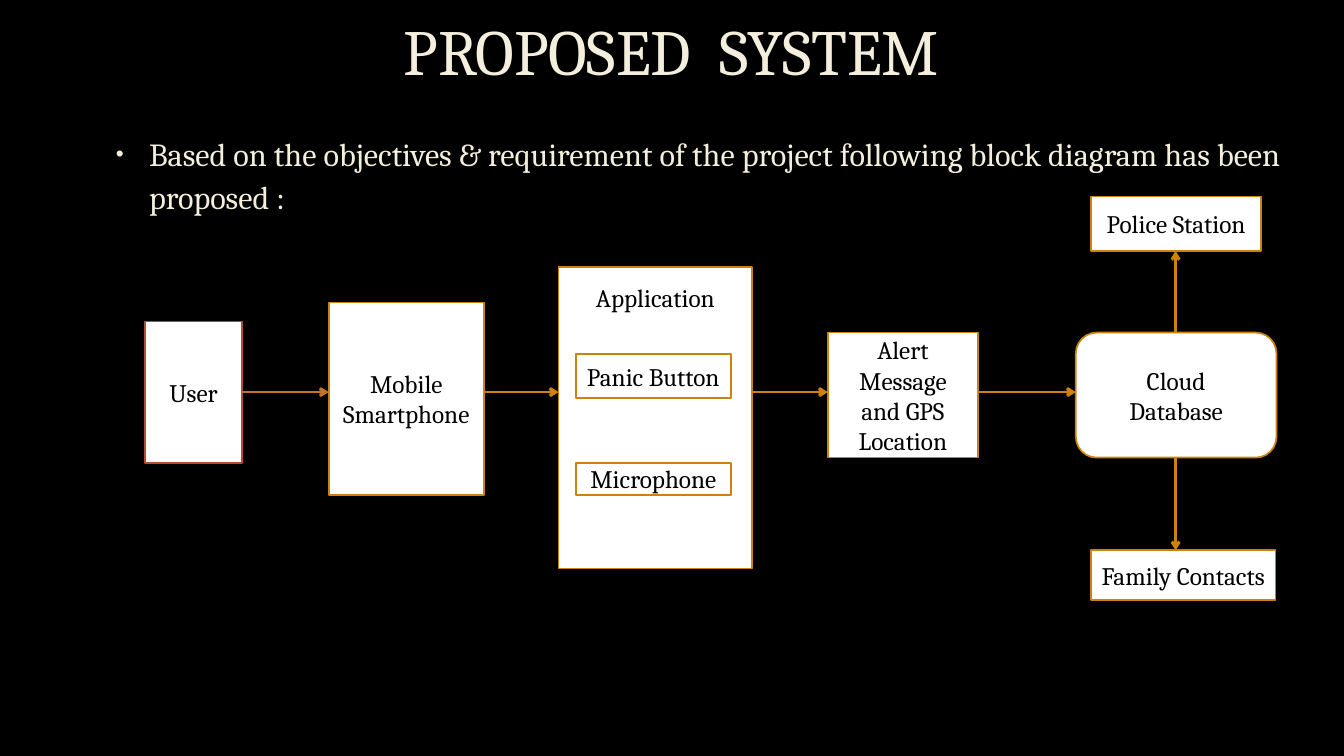
from typing import NamedTuple

from lxml.etree import SubElement
from pptx import Presentation
from pptx.dml.color import RGBColor
from pptx.enum.shapes import MSO_CONNECTOR, MSO_SHAPE
from pptx.enum.text import MSO_ANCHOR, PP_ALIGN
from pptx.oxml.ns import qn
from pptx.util import Inches, Pt

FONT = "Cambria"
BLACK, WHITE, CREAM = "000000", "FFFFFF", "F4EEDC"
AMBER, RUST, COPPER = "CC830E", "B54C2D", "C17529"
FLOW_Y = 3.89
CLOUD_X = 11.66


class Block(NamedTuple):
    text: str
    left: float
    top: float
    width: float
    height: float
    line: str = AMBER
    kind: MSO_SHAPE = MSO_SHAPE.FLOWCHART_PROCESS
    anchor: MSO_ANCHOR = MSO_ANCHOR.MIDDLE


class Arrow(NamedTuple):
    start: tuple[float, float]
    end: tuple[float, float]
    color: str = AMBER


BLOCKS = [
    Block("User", 1.44, 3.19, 0.96, 1.4, line=RUST),
    Block("Mobile\nSmartphone", 3.26, 3, 1.54, 1.91),
    Block("Application", 5.54, 2.65, 1.92, 2.99, anchor=MSO_ANCHOR.TOP),
    Block("Panic Button", 5.71, 3.51, 1.54, 0.44),
    Block("Microphone", 5.71, 4.59, 1.54, 0.32),
    Block("Alert Message and GPS Location", 8.21, 3.3, 1.49, 1.24),
    Block("Police Station", 10.82, 1.95, 1.69, 0.54),
    Block("Cloud\nDatabase", 10.67, 3.3, 1.99, 1.24,
          kind=MSO_SHAPE.FLOWCHART_ALTERNATE_PROCESS),
    Block("Family Contacts", 10.82, 5.46, 1.83, 0.49),
]

ARROWS = [
    Arrow((2.4, FLOW_Y), (3.26, FLOW_Y), COPPER),
    Arrow((4.79, FLOW_Y), (5.54, FLOW_Y)),
    Arrow((7.46, FLOW_Y), (8.21, FLOW_Y)),
    Arrow((9.69, FLOW_Y), (10.67, FLOW_Y)),
    Arrow((CLOUD_X, 3.3), (CLOUD_X, 2.49)),
    Arrow((CLOUD_X, 4.54), (CLOUD_X, 5.46)),
]


def rgb(color: str) -> RGBColor:
    return RGBColor.from_string(color)


def style_paragraph(paragraph, size: float, color: str, alignment: PP_ALIGN) -> None:
    paragraph.alignment = alignment
    paragraph.font.name = FONT
    paragraph.font.size = Pt(size)
    paragraph.font.color.rgb = rgb(color)


def add_text(slide, text: str, left: float, top: float, width: float, height: float,
             size: float, alignment: PP_ALIGN, anchor: MSO_ANCHOR, spacing: float):
    """Add a one-paragraph text box and return its paragraph."""
    box = slide.shapes.add_textbox(Inches(left), Inches(top), Inches(width), Inches(height))
    frame = box.text_frame
    frame.word_wrap = True
    frame.vertical_anchor = anchor
    frame.text = text
    paragraph = frame.paragraphs[0]
    style_paragraph(paragraph, size, CREAM, alignment)
    paragraph.line_spacing = spacing
    return paragraph


def add_bullet(paragraph) -> None:
    properties = paragraph._p.get_or_add_pPr()
    properties.set("marL", str(Inches(0.38)))
    properties.set("indent", str(Inches(-0.33)))
    SubElement(properties, qn("a:buSzPct"), val="70000")
    SubElement(properties, qn("a:buFont"), typeface="Arial")
    SubElement(properties, qn("a:buChar"), char="•")
    # The schema puts the default run properties after the bullet.
    properties.append(properties.find(qn("a:defRPr")))


def add_block(slide, block: Block) -> None:
    shape = slide.shapes.add_shape(block.kind, Inches(block.left), Inches(block.top),
                                   Inches(block.width), Inches(block.height))
    shape.shadow.inherit = False
    shape.fill.solid()
    shape.fill.fore_color.rgb = rgb(WHITE)
    shape.line.color.rgb = rgb(block.line)
    shape.line.width = Pt(1.25)
    frame = shape.text_frame
    frame.word_wrap = True
    frame.vertical_anchor = block.anchor
    if block.anchor == MSO_ANCHOR.TOP:
        frame.margin_top = Inches(0.15)
    frame.text = block.text
    for paragraph in frame.paragraphs:
        style_paragraph(paragraph, 18, BLACK, PP_ALIGN.CENTER)


def add_arrow(slide, arrow: Arrow) -> None:
    points = [Inches(value) for value in arrow.start + arrow.end]
    connector = slide.shapes.add_connector(MSO_CONNECTOR.STRAIGHT, *points)
    connector.line.color.rgb = rgb(arrow.color)
    connector.line.width = Pt(2)
    SubElement(connector.line._get_or_add_ln(), qn("a:tailEnd"), type="arrow")
    SubElement(connector._element.spPr, qn("a:effectLst"))


def main() -> None:
    presentation = Presentation()
    presentation.slide_width = Inches(13.33)
    presentation.slide_height = Inches(7.5)
    slide = presentation.slides.add_slide(presentation.slide_layouts[6])
    slide.background.fill.solid()
    slide.background.fill.fore_color.rgb = rgb(BLACK)

    add_text(slide, "PROPOSED  SYSTEM", 1, 0.14, 11.32, 0.81, 46,
             PP_ALIGN.CENTER, MSO_ANCHOR.MIDDLE, 0.9)
    introduction = add_text(
        slide,
        "Based on the objectives & requirement of the project "
        "following block diagram has been proposed :",
        1, 1.25, 12.09, 5.65, 23, PP_ALIGN.LEFT, MSO_ANCHOR.TOP, 1.1)
    introduction.space_before = Pt(4.6)
    introduction.space_after = Pt(6)
    add_bullet(introduction)

    for block in BLOCKS:
        add_block(slide, block)
    for arrow in ARROWS:
        add_arrow(slide, arrow)
    presentation.save("out.pptx")


if __name__ == "__main__":
    main()
